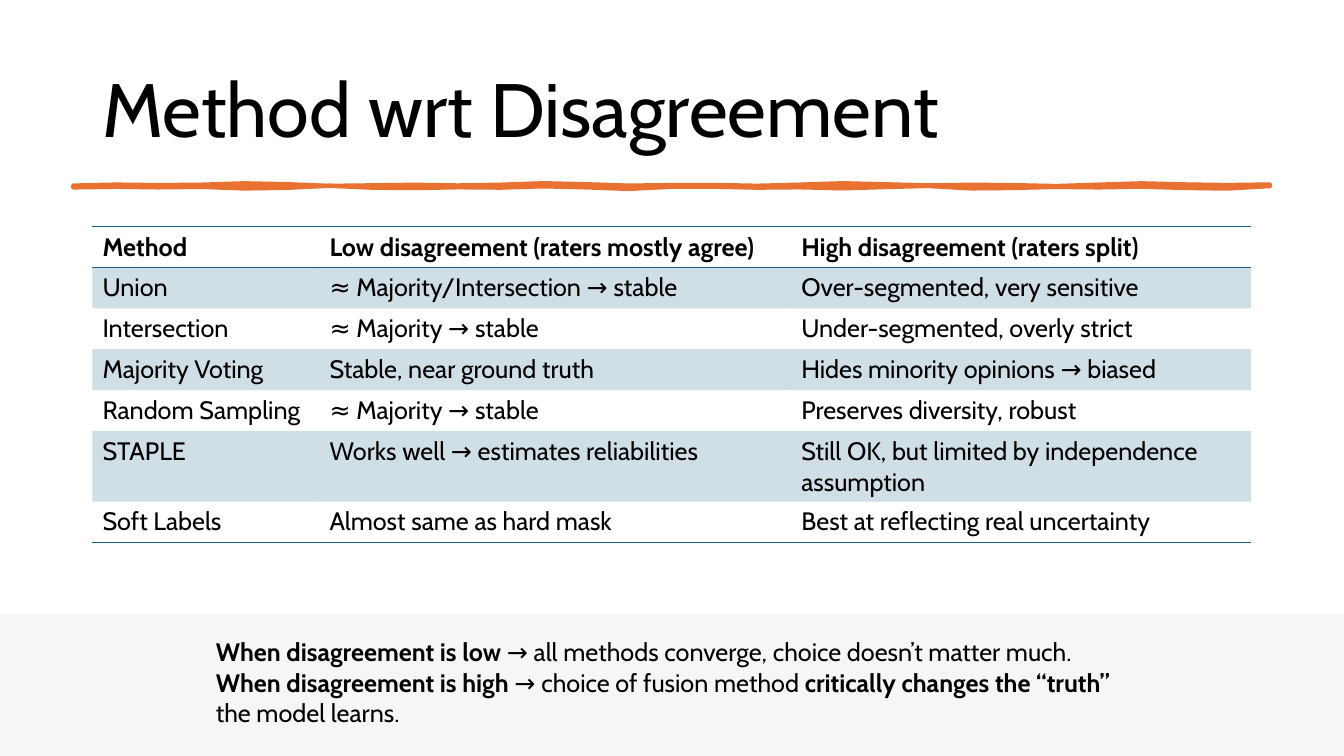
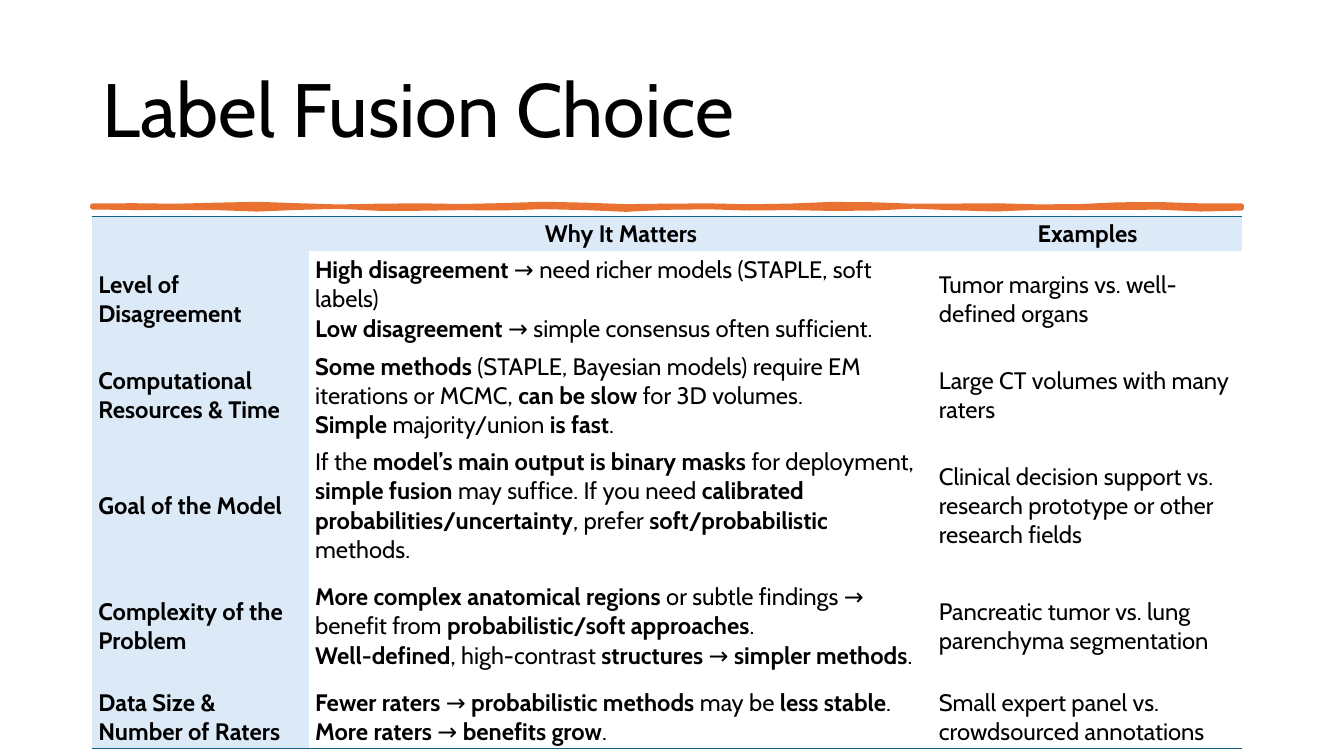
"""Builds two slides that compare label fusion methods and how to choose one."""
from math import sin

from lxml import etree
from pptx import Presentation
from pptx import util as u
from pptx.dml.color import RGBColor
from pptx.enum import shapes, text
from pptx.oxml.ns import qn

BLACK = RGBColor(0x00, 0x00, 0x00)
ORANGE = RGBColor(0xE9, 0x71, 0x32)
TEAL = RGBColor(0x15, 0x60, 0x82)
PALE_BLUE = RGBColor(0xDC, 0xEA, 0xF7)
PALE_GREY = RGBColor(0xEE, 0xF1, 0xF2)
FONT = "Cabin"
NO_GRID_STYLE = "{2D5ABB26-0587-4C30-8999-92F81FD0307C}"
BOLD_MARK = "**"
SLIDE_WIDTH, SLIDE_HEIGHT, LEFT = 33.87, 19.05, 2.33

DISAGREEMENT = [
    ("Method", "Low disagreement (raters mostly agree)", "High disagreement (raters split)"),
    ("Union", "≈ Majority/Intersection → stable", "Over-segmented, very sensitive"),
    ("Intersection", "≈ Majority → stable", "Under-segmented, overly strict"),
    ("Majority Voting", "Stable, near ground truth", "Hides minority opinions → biased"),
    ("Random Sampling", "≈ Majority → stable", "Preserves diversity, robust"),
    ("STAPLE", "Works well → estimates reliabilities",
     "Still OK, but limited by independence assumption"),
    ("Soft Labels", "Almost same as hard mask", "Best at reflecting real uncertainty"),
]
TAKEAWAY = (
    "**When disagreement is low** → all methods converge, choice doesn’t matter much.\n"
    "**When disagreement is high** → choice of fusion method "
    "**critically changes the “truth”** the model learns."
)
CHOICE = [
    ("", "Why It Matters", "Examples"),
    ("Level of Disagreement",
     "**High disagreement **→ need richer models (STAPLE, soft labels)\n"
     "**Low disagreement **→ simple consensus often sufficient.",
     "Tumor margins vs. well-defined organs"),
    ("Computational Resources & Time",
     "**Some methods **(STAPLE, Bayesian models) require EM iterations or MCMC, "
     "**can be slow **for 3D volumes.\n"
     "**Simple** majority/union **is fast**.",
     "Large CT volumes with many raters"),
    ("Goal of the Model",
     "If the **model’s main output is binary masks **for deployment, "
     "**simple fusion **may suffice. If you need "
     "**calibrated probabilities/uncertainty**, prefer **soft/probabilistic **methods.",
     "Clinical decision support vs. research prototype or other research fields"),
    ("Complexity of the Problem",
     "**More complex anatomical regions **or subtle findings → benefit from "
     "**probabilistic/soft approaches**.\n"
     "**Well-defined**, high-contrast **structures** → **simpler methods**.",
     "Pancreatic tumor vs. lung parenchyma segmentation"),
    ("Data Size & Number of Raters",
     "**Fewer raters **→ **probabilistic methods **may be **less stable**.\n"
     "**More raters **→ **benefits grow**.",
     "Small expert panel vs. crowdsourced annotations"),
]


def write(frame, content, size, bold=False):
    """Write lines into a frame; marked passages become bold."""
    frame.word_wrap = True
    for number, line in enumerate(content.split("\n")):
        paragraph = frame.add_paragraph() if number else frame.paragraphs[0]
        for order, passage in enumerate(line.split(BOLD_MARK)):
            if passage:
                run = paragraph.add_run()
                run.text = passage
                run.font.name, run.font.size = FONT, u.Pt(size)
                run.font.bold = bold or order % 2 == 1
                run.font.color.rgb = BLACK
        if not line:
            etree.SubElement(paragraph._p, qn("a:endParaRPr"), sz=str(size * 100))


def paint(fill, color, opacity=100):
    """Fill with a colour at an opacity in percent."""
    fill.solid()
    fill.fore_color.rgb = color
    if opacity < 100:
        color_node = fill._xPr.find(qn("a:solidFill"))[0]
        etree.SubElement(color_node, qn("a:alpha")).set("val", str(opacity * 1000))


def rule_cell(cell, sides):
    """Draw thin rules on the given sides, listed bottom before top."""
    for side in sides:
        rule = etree.Element(qn(f"a:ln{side}"), w=str(u.Pt(1)))
        solid = etree.SubElement(rule, qn("a:solidFill"))
        etree.SubElement(solid, qn("a:srgbClr"), val=str(TEAL))
        cell._tc.get_or_add_tcPr().insert(0, rule)


def add_text(slide, content, box, size):
    """Add a wrapped text box and return its frame."""
    frame = slide.shapes.add_textbox(*map(u.Cm, box)).text_frame
    write(frame, content, size)
    return frame


def add_title(slide, title):
    """Add the slide title."""
    frame = add_text(slide, title, (LEFT, 1.02, 29.21, 3.68), 54)
    frame.vertical_anchor = text.MSO_ANCHOR.MIDDLE
    frame.paragraphs[0].line_spacing = 0.9


def add_brush_stroke(slide, left, width, middle):
    """Add the uneven orange stroke below the title."""
    steps = 28
    xs = [left + width * step / steps for step in range(steps + 1)]
    upper = [(x, middle - 0.03 + 0.02 * (sin(1.7 * x) + sin(0.8 * x))) for x in xs]
    lower = [(x, middle + 0.03 + 0.02 * (sin(1.3 * x) + sin(2.1 * x))) for x in xs]
    outline = [(u.Cm(x), u.Cm(y)) for x, y in upper + lower[::-1]]
    builder = slide.shapes.build_freeform(*outline[0])
    builder.add_line_segments(outline[1:])
    stroke = builder.convert_to_shape()
    stroke.shadow.inherit = False
    paint(stroke.fill, ORANGE)
    stroke.line.color.rgb = ORANGE
    stroke.line.width = u.Pt(3.25)


def add_grid(slide, rows, top, widths, heights):
    """Add a plain table and yield each cell with its row, column and content."""
    table = slide.shapes.add_table(
        len(rows), len(widths), u.Cm(LEFT), u.Cm(top),
        u.Cm(sum(widths)), u.Cm(sum(heights))).table
    table.first_row = table.horz_banding = False
    table._tbl.tblPr.find(qn("a:tableStyleId")).text = NO_GRID_STYLE
    for column, width in zip(table.columns, widths):
        column.width = u.Cm(width)
    for row, height in zip(table.rows, heights):
        row.height = u.Cm(height)
    for r, row in enumerate(rows):
        for c, content in enumerate(row):
            cell = table.cell(r, c)
            yield cell, r, c, content


def build_disagreement(slide):
    """Build the comparison of methods by level of disagreement."""
    add_title(slide, "Method wrt Disagreement")
    add_brush_stroke(slide, 1.85, 30.15, 4.69)
    last = len(DISAGREEMENT) - 1
    heights = [1.03] * len(DISAGREEMENT)
    for cell, r, _, content in add_grid(
            slide, DISAGREEMENT, 5.71, (5.72, 11.89, 11.59), heights):
        write(cell.text_frame, content, 18, bold=r == 0)
        if r % 2:
            paint(cell.fill, TEAL, 20)
        rule_cell(cell, {0: "BT", last: "B"}.get(r, ""))
    band_height = 3.58
    band = slide.shapes.add_shape(
        shapes.MSO_SHAPE.RECTANGLE, 0, u.Cm(SLIDE_HEIGHT - band_height),
        u.Cm(SLIDE_WIDTH), u.Cm(band_height))
    band.shadow.inherit = False
    band.line.fill.background()
    paint(band.fill, PALE_GREY, 54)
    add_text(slide, TAKEAWAY, (5.19, 15.92, 23.5, 2.57), 18)


def build_choice(slide):
    """Build the table of factors that guide the choice."""
    add_title(slide, "Label Fusion Choice")
    add_brush_stroke(slide, LEFT, 28.96, 5.21)
    last = len(CHOICE) - 1
    heights = (0.87, 2.43, 2.43, 3.12, 2.95, 1.6)
    for cell, r, c, content in add_grid(slide, CHOICE, 5.45, (5.46, 15.72, 7.79), heights):
        heading = r == 0 or c == 0
        cell.margin_left = cell.margin_right = u.Cm(0.15)
        cell.margin_top = cell.margin_bottom = u.Cm(0.08)
        cell.vertical_anchor = text.MSO_ANCHOR.MIDDLE
        write(cell.text_frame, content, 17, bold=heading)
        if r == 0 and content:
            cell.text_frame.paragraphs[0].alignment = text.PP_ALIGN.CENTER
        if heading:
            paint(cell.fill, PALE_BLUE)
        rule_cell(cell, {0: "T", last: "B"}.get(r, ""))


def main():
    """Build and save the presentation."""
    deck = Presentation()
    deck.slide_width, deck.slide_height = u.Cm(SLIDE_WIDTH), u.Cm(SLIDE_HEIGHT)
    for build in (build_disagreement, build_choice):
        build(deck.slides.add_slide(deck.slide_layouts[6]))
    deck.save("out.pptx")


if __name__ == "__main__":
    main()
